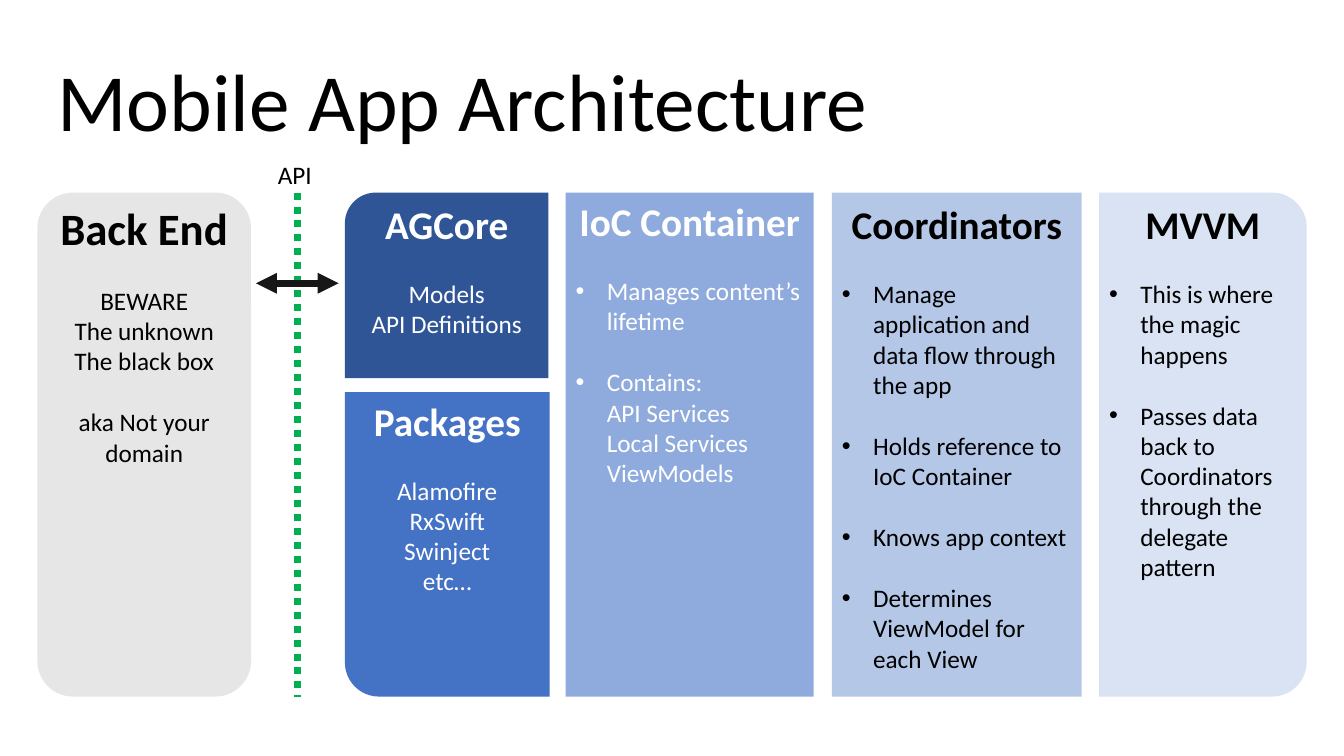
from lxml import etree
from pptx import Presentation
from pptx import util as u
from pptx.dml.color import RGBColor
from pptx.enum import dml, shapes, text
from pptx.oxml.ns import qn

MSO, ALIGN = shapes.MSO_SHAPE, text.PP_ALIGN
BLACK, WHITE = "000000", "FFFFFF"
TOP, HEIGHT = 25.47, 66.67
BODY_PT, LINE_GAP, BULLET_INDENT = 18, 22, 0.31


def rgb(value):
    """Turn a hex string into a colour."""
    return RGBColor.from_string(value)


def assign(target, **values):
    """Set each given attribute on the target."""
    for name, value in values.items():
        setattr(target, name, value)


def child(parent, tag, **attrs):
    """Append an XML element with attributes."""
    return etree.SubElement(parent, qn(tag), attrs)


class Deck:
    """Holds the style and the current slide; lengths are percent of the slide."""

    font = "Calibri"

    def __init__(self, width, height):
        """Start a one-slide presentation with a title and four bodies."""
        self.prs = Presentation()
        assign(self.prs, slide_width=u.Inches(width), slide_height=u.Inches(height))
        self.slide = self.prs.slides.add_slide(self.prs.slide_layouts[4])
        self.bodies = list(self.slide.placeholders)[1:]

    def place(self, x, y, w, h):
        """Convert percentages to left, top, width and height."""
        sw, sh = self.prs.slide_width, self.prs.slide_height
        return [u.Emu(int(share * side / 100))
                for share, side in zip((x, y, w, h), (sw, sh, sw, sh))]

    def frame(self, sp, box, anchor=text.MSO_ANCHOR.TOP):
        """Move a text holder to the front at its box and return its frame."""
        self.slide.shapes._spTree.append(sp.element)
        assign(sp, **dict(zip(("left", "top", "width", "height"), self.place(*box))))
        tf = sp.text_frame
        assign(tf, word_wrap=True, auto_size=text.MSO_AUTO_SIZE.NONE,
               vertical_anchor=anchor)
        return tf

    def paragraph(self, p, words, size, color, bold=False, align=ALIGN.CENTER,
                  bullet=False, before=0):
        """Write one formatted paragraph."""
        p.text = words
        assign(p, alignment=align, space_before=u.Pt(before), space_after=u.Pt(0))
        for r in p.runs:
            assign(r.font, name=self.font, size=u.Pt(size), bold=bold)
            r.font.color.rgb = rgb(color)
        for br in p._p.findall(qn("a:br")):
            child(br, "a:rPr", sz=str(size * 100))
        pPr = p._p.get_or_add_pPr()
        indent = u.Inches(BULLET_INDENT) if bullet else 0
        pPr.set("marL", str(indent))
        pPr.set("indent", str(-indent))
        if bullet:
            child(pPr, "a:buFont", typeface="Arial")
            child(pPr, "a:buChar", char="•")
        else:
            child(pPr, "a:buNone")

    def title(self, words, box):
        """Fill the title placeholder."""
        tf = self.frame(self.slide.shapes.title, box)
        self.paragraph(tf.paragraphs[0], words, 58, BLACK, align=ALIGN.LEFT)

    def label(self, words, box):
        """Add a short centred caption."""
        sp = self.slide.shapes.add_textbox(0, 0, 0, 0)
        tf = self.frame(sp, box, text.MSO_ANCHOR.MIDDLE)
        self.paragraph(tf.paragraphs[0], words, BODY_PT, BLACK)

    def panel(self, kind, box, fill, turn=0):
        """Add a flat block; the box is where it shows after turning."""
        left, top, w, h = self.place(*box)
        if turn % 180:
            left, top, w, h = left + (w - h) // 2, top + (h - w) // 2, h, w
        sp = self.slide.shapes.add_shape(kind, left, top, w, h)
        sp.rotation = turn
        sp.shadow.inherit = False
        sp.fill.solid()
        sp.fill.fore_color.rgb = rgb(fill)
        sp.line.fill.background()

    def content(self, box, heading, size, color, groups, bullet):
        """Write a heading and groups of lines, a gap before each group."""
        sp = (self.bodies.pop(0) if bullet or len(groups[0]) == 4
              else self.slide.shapes.add_textbox(0, 0, 0, 0))
        tf = self.frame(sp, box)
        self.paragraph(tf.paragraphs[0], heading, size, color, bold=True)
        for group in groups:
            for i, line in enumerate(group):
                self.paragraph(tf.add_paragraph(), line, BODY_PT, color,
                               align=ALIGN.LEFT if bullet else ALIGN.CENTER,
                               bullet=bullet, before=0 if i else LINE_GAP)

    def line(self, start, end, color, dash=None, arrows=False):
        """Add a thick straight line, dashed or with two arrowheads."""
        x1, y1, x2, y2 = self.place(*start, *end)
        ln = self.slide.shapes.add_connector(
            shapes.MSO_CONNECTOR.STRAIGHT, x1, y1, x2, y2)
        assign(ln.line, width=u.Pt(5), dash_style=dash)
        ln.line.color.rgb = rgb(color)
        if arrows:
            for tag in ("a:headEnd", "a:tailEnd"):
                child(ln.line._get_or_add_ln(), tag, type="triangle")
        child(ln._element.spPr, "a:effectLst")


# heading, size, text colour, fill, shape, turn, box, text drop, bullets, groups
PANELS = [
    ("Back End", 32, BLACK, "E7E6E6", MSO.ROUNDED_RECTANGLE, 0,
     (2.78, TOP, 15.9, HEIGHT), 0.4, False,
     [["BEWARE", "The unknown", "The black box"], ["aka Not your domain"]]),
    ("AGCore", 28, WHITE, "2F5597", MSO.ROUND_1_RECTANGLE, 270,
     (25.66, TOP, 15.15, 24.53), 0.4, False, [["Models", "API Definitions"]]),
    ("Packages", 28, WHITE, "4472C4", MSO.ROUND_1_RECTANGLE, 180,
     (25.66, 51.87, 15.23, 40.27), 0, False,
     [["Alamofire", "RxSwift", "Swinject", "etc…"]]),
    ("IoC Container", 28, WHITE, "8FAADC", MSO.RECTANGLE, 0,
     (42.08, TOP, 18.45, HEIGHT), 0, True,
     [["Manages content’s lifetime"],
      ["Contains:\vAPI Services\vLocal Services\vViewModels"]]),
    ("Coordinators", 28, BLACK, "B4C7E7", MSO.RECTANGLE, 0,
     (61.89, TOP, 18.6, HEIGHT), 0.4, True,
     [["Manage application and data flow through the app"],
      ["Holds reference to IoC Container"], ["Knows app context"],
      ["Determines ViewModel for each View"]]),
    ("MVVM", 28, BLACK, "DAE3F3", MSO.ROUND_2_SAME_RECTANGLE, 90,
     (81.77, TOP, 15.45, HEIGHT), 0.4, True,
     [["This is where the magic happens"],
      ["Passes data back to Coordinators through the delegate pattern"]]),
]

deck = Deck(13.33, 7.5)
deck.title("Mobile App Architecture", (3.53, 6, 93.25, 14.4))
deck.line((22.13, TOP), (22.13, TOP + HEIGHT), "00B050",
          dash=dml.MSO_LINE.ROUND_DOT)
deck.label("API", (18.9, 20.4, 6.08, 5.33))
deck.line((25.2, 37.47), (19.05, 37.47), "181717", arrows=True)
for heading, size, color, fill, kind, turn, box, drop, bullet, groups in PANELS:
    x, y, w, h = box
    deck.panel(kind, box, fill, turn)
    deck.content((x, y + drop, w, h - drop), heading, size, color, groups, bullet)
deck.prs.save("out.pptx")
